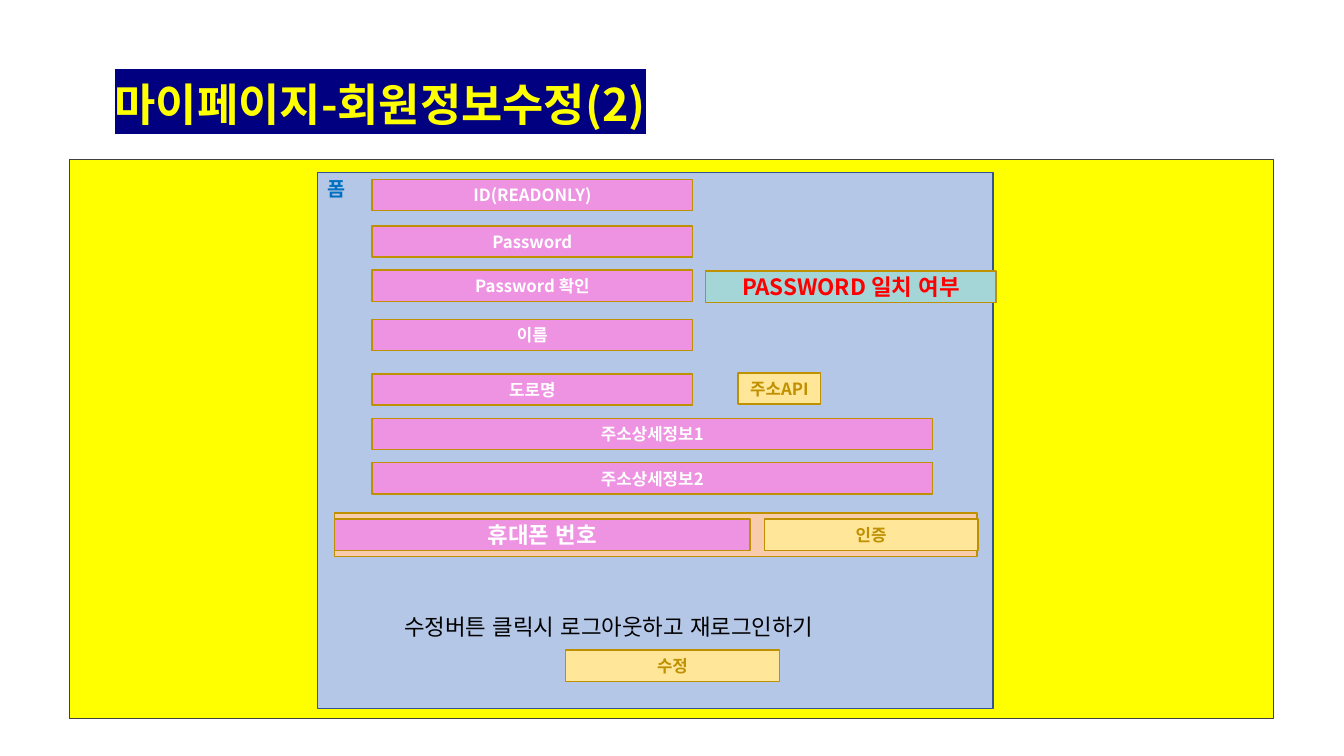
from lxml import etree
from pptx import Presentation
from pptx.dml.color import RGBColor
from pptx.enum.lang import MSO_LANGUAGE_ID
from pptx.enum.shapes import MSO_SHAPE
from pptx.enum.text import MSO_ANCHOR, PP_ALIGN
from pptx.oxml.ns import qn
from pptx.util import Inches, Pt

RECTANGLE = MSO_SHAPE.RECTANGLE
KOREAN = MSO_LANGUAGE_ID.KOREAN
TOP, MIDDLE = MSO_ANCHOR.TOP, MSO_ANCHOR.MIDDLE
LEFT, CENTER = PP_ALIGN.LEFT, PP_ALIGN.CENTER

FONT = "Noto Sans CJK KR"
COLORS = {
    "yellow": "FFFF00", "navy": "000080", "dark": "404040",
    "form": "B4C7E7", "form_line": "325491", "form_label": "0070C0",
    "field": "ED93E2", "button": "FFE699", "gold": "BF9000",
    "phone": "F8CBAD", "check": "A4D6D8",
    "white": "FFFFFF", "red": "FF0000", "black": "000000",
}

TITLE = "마이페이지-회원정보수정(2)"
FORM_LABEL = "폼"
NOTICE = "수정버튼 클릭시 로그아웃하고 재로그인하기"
FIELD_LEFT, FIELD_WIDTH, ADDRESS_WIDTH, ROW_HEIGHT = 3.69, 3.18, 5.56, 0.31
FIELDS = [
    ("ID(READONLY)", 1.78, FIELD_WIDTH),
    ("Password", 2.24, FIELD_WIDTH),
    ("Password 확인", 2.68, FIELD_WIDTH),
    ("이름", 3.17, FIELD_WIDTH),
    ("도로명", 3.71, FIELD_WIDTH),
    ("주소상세정보1", 4.15, ADDRESS_WIDTH),
    ("주소상세정보2", 4.59, ADDRESS_WIDTH),
]
BUTTONS = [
    ("주소API", 7.32, 3.7, 0.82),
    ("인증", 7.58, 5.15, 2.12),
    ("수정", 5.61, 6.45, 2.12),
]


def write(shape, text, size=12, color="white", bold=True, align=CENTER,
          anchor=MIDDLE, wrap=False, highlight=None, line_spacing=None):
    frame = shape.text_frame
    frame.word_wrap = wrap
    frame.vertical_anchor = anchor
    paragraph = frame.paragraphs[0]
    paragraph.alignment = align
    if line_spacing:
        paragraph.line_spacing = line_spacing
    run = paragraph.add_run()
    run.text = text
    font = run.font
    font.size, font.bold, font.name = Pt(size), bold, FONT
    font.language_id = KOREAN
    font.color.rgb = RGBColor.from_string(COLORS[color])
    latin = run._r.rPr.find(qn("a:latin"))
    east_asian = etree.Element(qn("a:ea"), typeface=FONT)
    latin.addnext(east_asian)
    if highlight:
        marker = etree.Element(qn("a:highlight"))
        etree.SubElement(marker, qn("a:srgbClr"), val=COLORS[highlight])
        latin.addprevious(marker)


def add_box(left, top, width, height, fill, line="gold"):
    shape = slide.shapes.add_shape(
        RECTANGLE, Inches(left), Inches(top), Inches(width), Inches(height))
    shape.shadow.inherit = False
    shape.fill.solid()
    shape.fill.fore_color.rgb = RGBColor.from_string(COLORS[fill])
    shape.line.color.rgb = RGBColor.from_string(COLORS[line])
    shape.line.width = Pt(1)
    return shape


def add_text_box(left, top, width, height):
    return slide.shapes.add_textbox(
        Inches(left), Inches(top), Inches(width), Inches(height))


presentation = Presentation()
presentation.slide_width = Inches(13.33)
presentation.slide_height = Inches(7.5)
slide = presentation.slides.add_slide(presentation.slide_layouts[6])

add_box(0.69, 1.58, 11.94, 5.55, "yellow", "dark")
form = add_box(3.15, 1.71, 6.7, 5.32, "form", "form_line")
write(form, FORM_LABEL, size=14, color="form_label", align=LEFT, anchor=TOP, wrap=True)

title = add_text_box(1.04, 0.76, 5.84, 0.64)
title.text_frame.margin_top = title.text_frame.margin_bottom = 0
write(title, TITLE, size=32, color="yellow", align=LEFT, anchor=TOP,
      wrap=True, highlight="navy")

for label, top, width in FIELDS:
    write(add_box(FIELD_LEFT, top, width, ROW_HEIGHT, "field"), label)

add_box(3.32, 5.09, 6.37, 0.43, "phone")
write(add_box(3.32, 5.15, 4.12, ROW_HEIGHT, "field"), "휴대폰 번호", size=16)

for label, left, top, width in BUTTONS:
    write(add_box(left, top, width, ROW_HEIGHT, "button"), label, color="gold")

write(add_text_box(3.91, 6.06, 5.21, 0.73), NOTICE, size=16, color="black",
      bold=False, align=LEFT, anchor=TOP, wrap=True, line_spacing=0.9)
write(add_box(7, 2.69, 2.88, ROW_HEIGHT, "check"), "PASSWORD 일치 여부",
      size=16, color="red")

presentation.save("out.pptx")
